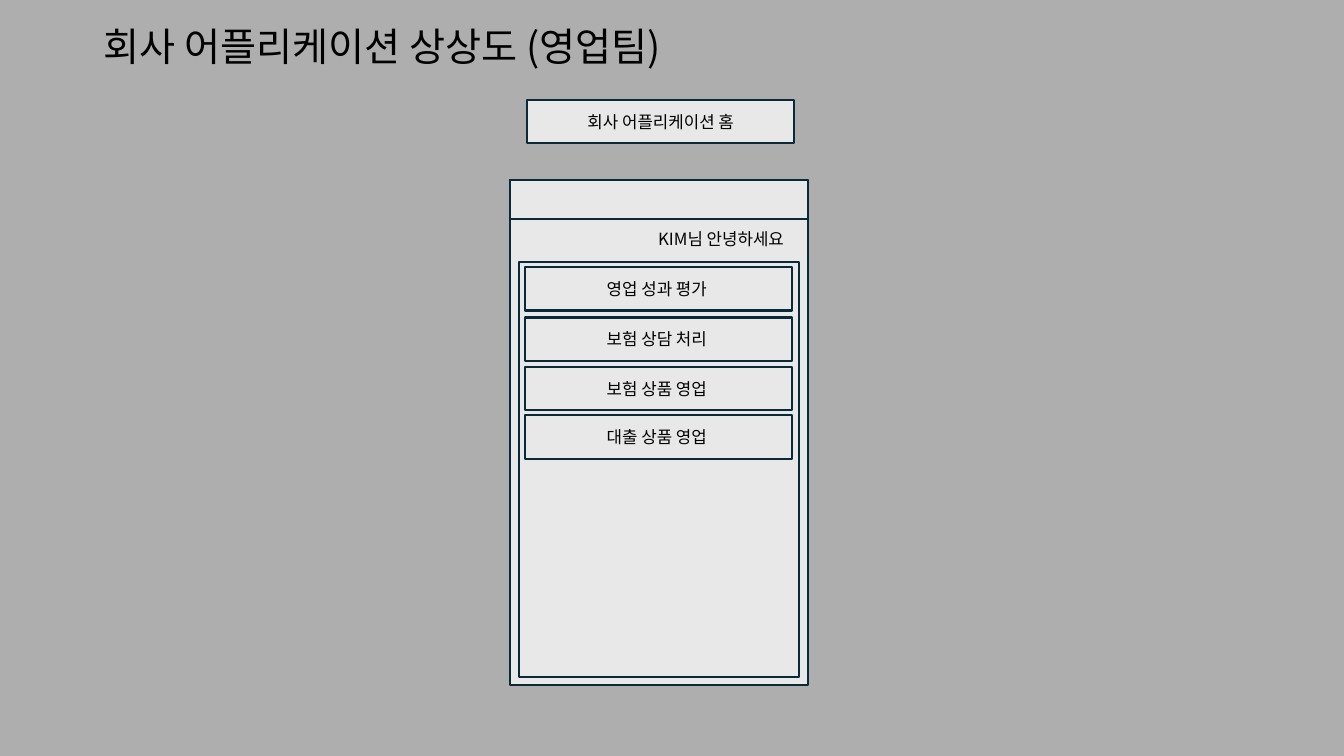
"""Builds the sales team's company application mock-up slide."""
from lxml import etree
from pptx import Presentation
from pptx.dml.color import RGBColor
from pptx.enum import shapes, text
from pptx.oxml.ns import qn
from pptx.util import Pt

BACKGROUND = RGBColor(0xAE, 0xAE, 0xAE)
PANEL = RGBColor(0xE8, 0xE8, 0xE8)
OUTLINE = RGBColor(0x09, 0x2A, 0x39)
INK = RGBColor(0, 0, 0)
FONT = "Noto Sans CJK KR"
BUTTON_WIDTH, BUTTON_HEIGHT = 190.8, 31


def write(shape, wording, size, alignment, anchor):
    frame = shape.text_frame
    frame.word_wrap = True
    frame.vertical_anchor = anchor
    paragraph = frame.paragraphs[0]
    paragraph.alignment = alignment
    run = paragraph.add_run()
    run.text = wording
    run.font.size = Pt(size)
    run.font.name = FONT
    run.font.color.rgb = INK
    etree.SubElement(run.font._element, qn("a:ea"), typeface=FONT)
    return paragraph


def add_box(left, top, width, height, label=None):
    box = slide.shapes.add_shape(
        shapes.MSO_SHAPE.RECTANGLE, Pt(left), Pt(top), Pt(width), Pt(height))
    box.shadow.inherit = False
    box.fill.solid()
    box.fill.fore_color.rgb = PANEL
    box.line.color.rgb = OUTLINE
    box.line.width = Pt(1.5)
    if label:
        write(box, label, 12, text.PP_ALIGN.CENTER, text.MSO_ANCHOR.MIDDLE)


presentation = Presentation()
presentation.slide_width = Pt(960)
presentation.slide_height = Pt(540)
slide = presentation.slides.add_slide(presentation.slide_layouts[6])
slide.background.fill.solid()
slide.background.fill.fore_color.rgb = BACKGROUND

title = slide.shapes.add_textbox(Pt(10.1), Pt(9.4), Pt(525.6), Pt(43.9))
heading = write(title, "회사 어플리케이션 상상도 (영업팀)", 28,
                text.PP_ALIGN.CENTER, text.MSO_ANCHOR.BOTTOM)
heading.line_spacing = 0.9

add_box(376.6, 71.3, BUTTON_WIDTH, BUTTON_HEIGHT, "회사 어플리케이션 홈")

for left, top, width, height in [
    (364.3, 128.9, 213.1, 360.7),
    (364.3, 128.9, 213.1, 27.4),
    (370.4, 187.2, 200.5, 296.6),
]:
    add_box(left, top, width, height)

greeting = slide.shapes.add_textbox(Pt(463), Pt(159.8), Pt(115.9), Pt(21.6))
write(greeting, "KIM님 안녕하세요", 12,
      text.PP_ALIGN.LEFT, text.MSO_ANCHOR.TOP)

for top, label in [
    (190.8, "영업 성과 평가 "),
    (226.8, "보험 상담 처리 "),
    (262.1, "보험 상품 영업 "),
    (296.6, "대출 상품 영업 "),
]:
    add_box(375.1, top, BUTTON_WIDTH, BUTTON_HEIGHT, label)

presentation.save("out.pptx")
